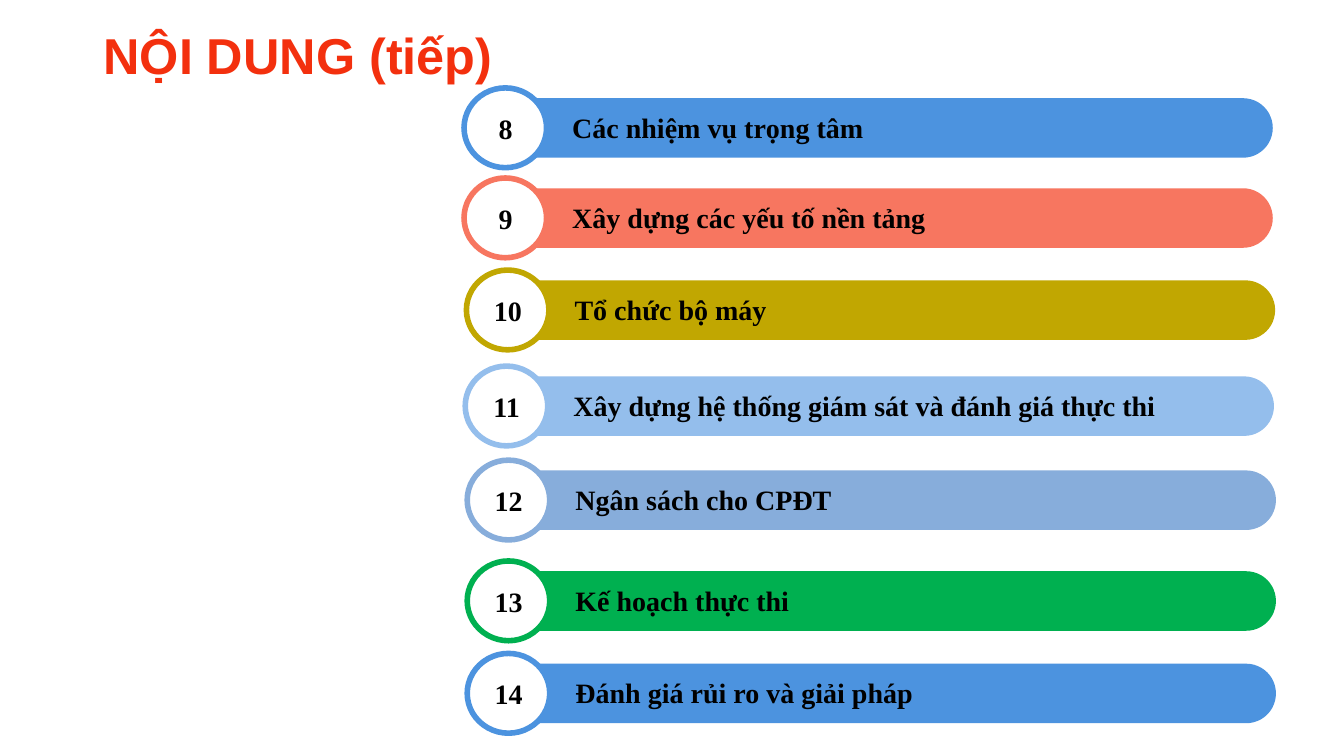
from pptx import Presentation
from pptx.dml.color import RGBColor
from pptx.enum.shapes import MSO_SHAPE
from pptx.enum.text import MSO_ANCHOR, MSO_AUTO_SIZE, PP_ALIGN
from pptx.util import Cm, Pt

OVAL = MSO_SHAPE.OVAL
TAB = MSO_SHAPE.ROUND_2_SAME_RECTANGLE
MIDDLE = MSO_ANCHOR.MIDDLE
GROW = MSO_AUTO_SIZE.SHAPE_TO_FIT_TEXT
FIXED = MSO_AUTO_SIZE.NONE
LEFT = PP_ALIGN.LEFT
CENTER = PP_ALIGN.CENTER

ROWS = [
    ("8", "Các nhiệm vụ trọng tâm", "4C93DF", 11.73, 2.18),
    ("9", "Xây dựng các yếu tố nền tảng", "F77660", 11.73, 4.45),
    ("10", "Tổ chức bộ máy", "C1A701", 11.79, 6.77),
    ("11", "Xây dựng hệ thống giám sát và đánh giá thực thi", "94BEEC", 11.76, 9.19),
    ("12", "Ngân sách cho CPĐT", "87ADDB", 11.81, 11.56),
    ("13", "Kế hoạch thực thi", "00B050", 11.81, 14.1),
    ("14", "Đánh giá rủi ro và giải pháp", "4C93DF", 11.81, 16.43),
]


def color(code):
    return RGBColor.from_string(code)


def add_text(home, text, left, top, width, height, size=20,
             font="Times New Roman", ink="000000", align=LEFT, fit=GROW, pad=0.13):
    box = home.shapes.add_textbox(Cm(left), Cm(top), Cm(width), Cm(height))
    frame = box.text_frame
    frame.word_wrap = True
    frame.auto_size = fit
    frame.vertical_anchor = MIDDLE
    frame.margin_top = frame.margin_bottom = Cm(pad)
    line = frame.paragraphs[0]
    line.alignment = align
    run = line.add_run()
    run.text = text
    run.font.name = font
    run.font.size = Pt(size)
    run.font.bold = True
    run.font.color.rgb = color(ink)


def add_form(home, kind, left, top, width, height, turn, fill, edge=None):
    form = home.shapes.add_shape(kind, Cm(left), Cm(top), Cm(width), Cm(height))
    form.rotation = turn
    form.shadow.inherit = False
    form.fill.solid()
    form.fill.fore_color.rgb = color(fill)
    if edge:
        form.line.color.rgb = color(edge)
        form.line.width = Pt(4)
    else:
        form.line.fill.background()
    return form


def add_row(slide, number, label, tint, left, top):
    group = slide.shapes.add_group_shape()
    bar = add_form(group, TAB, left + 9.93, top - 8.62, 1.5, 19.33, 90, tint)
    bar.adjustments[0] = 0.5
    bar.adjustments[1] = 0
    add_form(group, OVAL, left, top, 2.01, 2.08, 270, "FFFFFF", tint)
    add_text(group, number, left - 0.03, top + 0.62, 2.08, 0.86, align=CENTER, pad=0)
    add_text(group, label, left + 2.44, top + 0.46, 17.27, 1.12)


def main():
    deck = Presentation()
    deck.slide_width = Cm(33.87)
    deck.slide_height = Cm(19.05)
    slide = deck.slides.add_slide(deck.slide_layouts[6])
    add_text(slide, "NỘI DUNG (tiếp)", 2.36, 0.2, 24.94, 2.34,
             size=36, font="Arial", ink="F3300E", fit=FIXED)
    for row in ROWS:
        add_row(slide, *row)
    deck.save("out.pptx")


if __name__ == "__main__":
    main()
